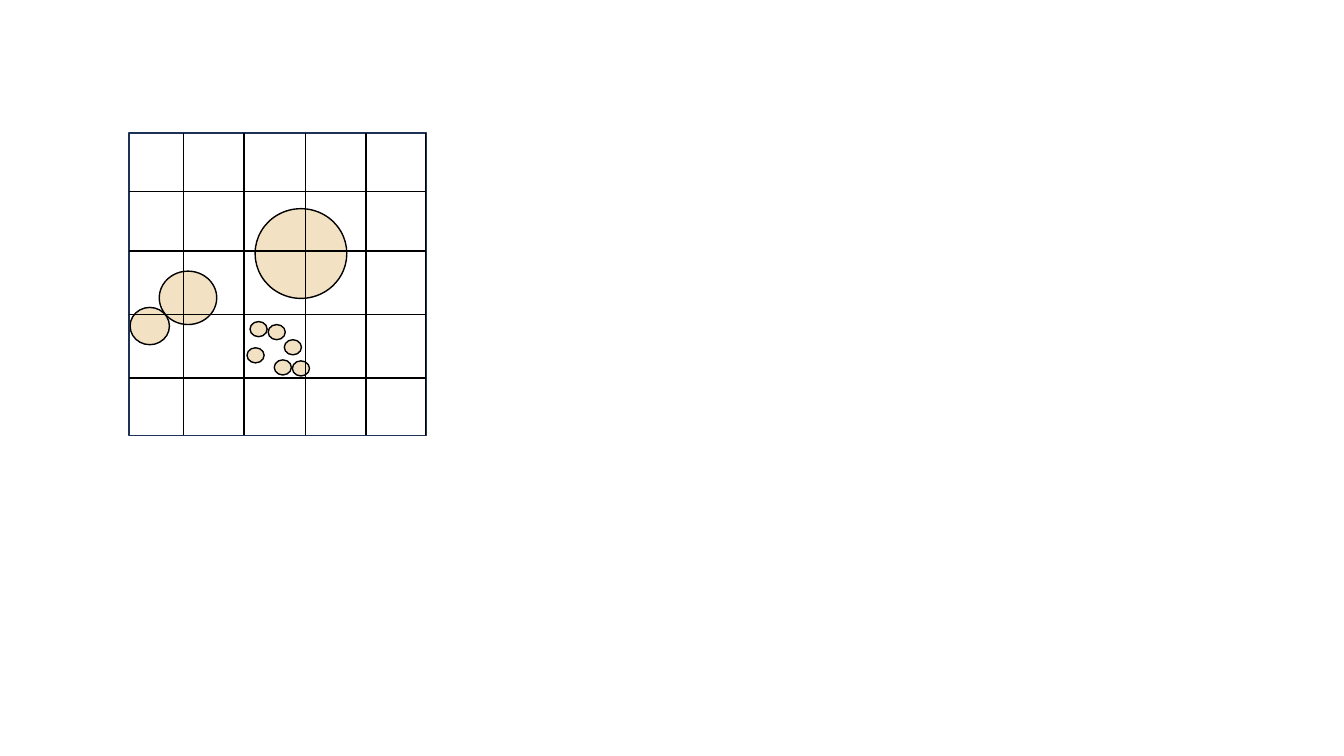
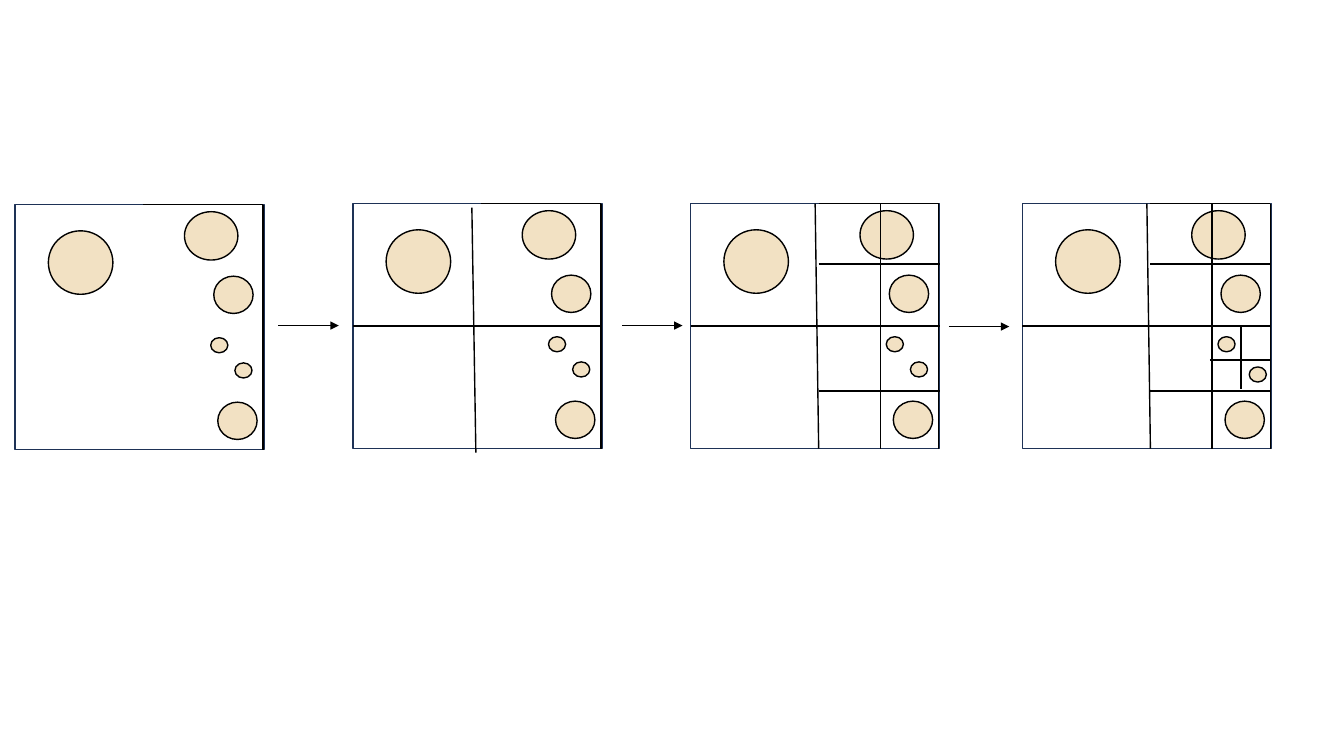
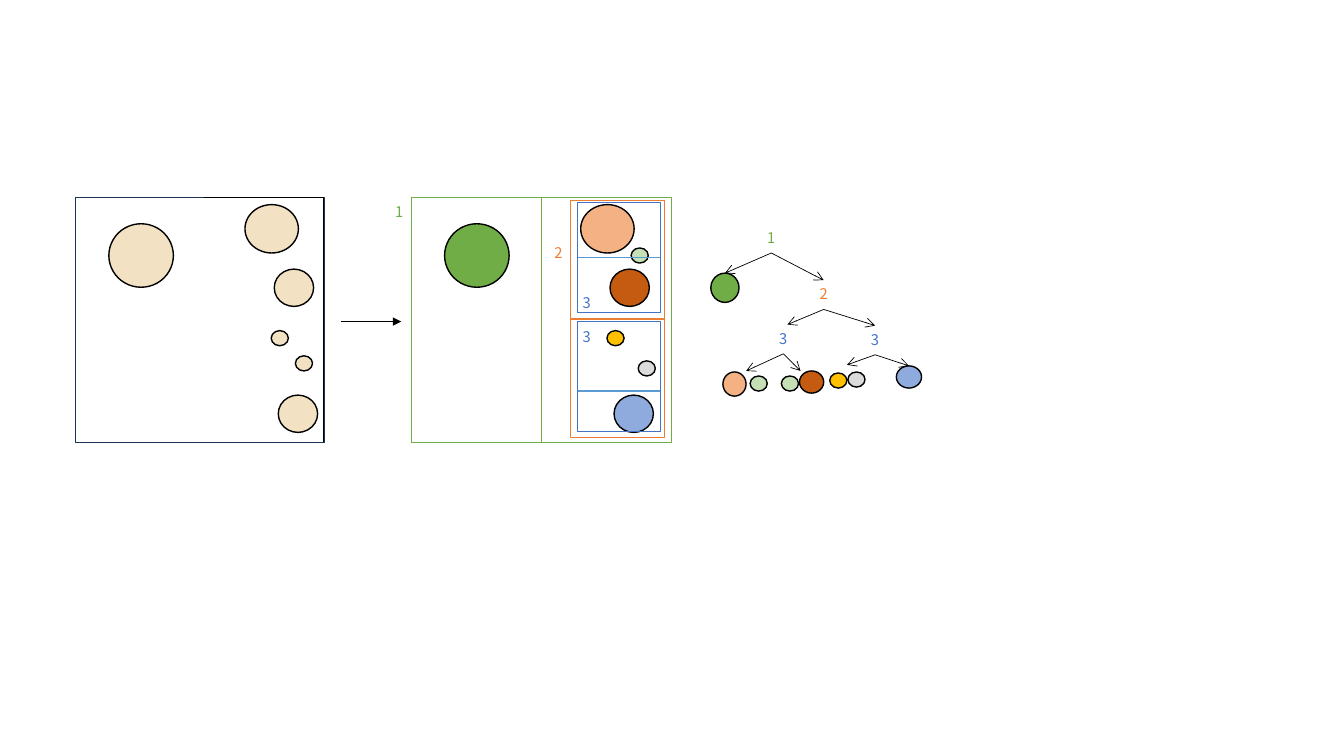
from dataclasses import dataclass

from lxml import etree
from pptx import Presentation
from pptx import util as u
from pptx.dml.color import RGBColor
from pptx.enum import shapes, text
from pptx.oxml.ns import qn


@dataclass(frozen=True)
class Theme:
    font: str = "Noto Sans CJK SC"
    size: float = 10.5
    line: float = 1
    thin: float = 0.5
    black: str = "000000"
    navy: str = "1E3256"
    sand: str = "F2E1C3"
    green: str = "70AD47"
    mint: str = "C5E0B4"
    orange: str = "ED7D31"
    peach: str = "F4B183"
    rust: str = "C55A11"
    blue: str = "4472C4"
    sky: str = "5B9BD5"
    pale_blue: str = "8FAADC"
    gold: str = "FFC000"
    grey: str = "DBDBDB"


T = Theme()
TOP, LEFT, BOTTOM, RIGHT = range(4)
DOT = (0.17, 0.15)
BALL = (0.39, 0.37)
PANEL_W, PANEL_H = 2.47, 2.43
BALLS = [
    (0.33, 0.26, 0.64, 0.63),
    (1.68, 0.07, 0.53, 0.48),
    (1.97, 0.71, *BALL),
    (1.94, 1.32, *DOT),
    (2.18, 1.57, *DOT),
    (2.01, 1.96, *BALL),
]
MOVED_DOT = (2.25, 1.62, *DOT)


class Deck:
    """Holds the theme, the presentation and the current slide."""

    def __init__(self, theme):
        self.theme = theme
        self.prs = Presentation()
        self.prs.slide_width, self.prs.slide_height = u.Inches(13.33), u.Inches(7.5)
        self.s = None

    def slide(self):
        self.s = self.prs.slides.add_slide(self.prs.slide_layouts[6])

    def shape(self, kind, box, fill, line):
        sp = self.s.shapes.add_shape(kind, *map(u.Inches, box))
        sp.shadow.inherit = False
        if fill:
            sp.fill.solid()
            sp.fill.fore_color.rgb = RGBColor.from_string(fill)
        else:
            sp.fill.background()
        sp.line.color.rgb = RGBColor.from_string(line)
        sp.line.width = u.Pt(self.theme.line)
        return sp

    def ball(self, x, y, w, h, fill=T.sand):
        return self.shape(shapes.MSO_SHAPE.OVAL, (x, y, w, h), fill, self.theme.black)

    def frame(self, x, y, w, h, line=T.navy):
        return self.shape(shapes.MSO_SHAPE.RECTANGLE, (x, y, w, h), None, line)

    def line(self, start, end, color=T.black, width=T.line, head=None):
        ends = (start, end)
        points = [(0, 0) if hasattr(e[0], "shape_id") else e for e in ends]
        c = self.s.shapes.add_connector(
            shapes.MSO_CONNECTOR.STRAIGHT, *(u.Inches(v) for p in points for v in p))
        for e, join in zip(ends, (c.begin_connect, c.end_connect)):
            if hasattr(e[0], "shape_id"):
                join(*e)
        c.line.color.rgb = RGBColor.from_string(color)
        c.line.width = u.Pt(width)
        sp_pr = c.element.spPr
        if head:
            etree.SubElement(sp_pr.find(qn("a:ln")), qn("a:tailEnd"), type=head)
        etree.SubElement(sp_pr, qn("a:effectLst"))
        return c

    def arrow(self, x, y):
        self.line((x, y), (x + 0.6, y), head="triangle")

    def branch(self, start, end):
        self.line(start, end, width=self.theme.thin, head="arrow")

    def label(self, x, y, words, color, wrap=False):
        sp = self.s.shapes.add_textbox(*map(u.Inches, (x, y, 0.28, 0.29)))
        tf = sp.text_frame
        for k, v in {"word_wrap": wrap,
                     "auto_size": text.MSO_AUTO_SIZE.SHAPE_TO_FIT_TEXT}.items():
            setattr(tf, k, v)
        r = tf.paragraphs[0].add_run()
        r.text = words
        for k, v in {"name": self.theme.font, "size": u.Pt(self.theme.size)}.items():
            setattr(r.font, k, v)
        r.font.color.rgb = RGBColor.from_string(color)
        return sp

    def balls(self, x, y, fills=(T.sand,) * 6, moved=False):
        places = [*BALLS[:4], MOVED_DOT if moved else BALLS[4], BALLS[5]]
        for (dx, dy, w, h), fill in zip(places, fills):
            self.ball(x + dx, y + dy, w, h, fill)

    def panel(self, x, y, moved=False):
        self.balls(x, y, moved=moved)
        sp = self.frame(x, y, PANEL_W, PANEL_H)
        right = x + PANEL_W - 0.01
        self.line((x + 1.27, y), (right, y))
        self.line((right, y), (right, y + PANEL_H))
        return sp

    def quarters(self, sp, x, y):
        right, bottom = x + PANEL_W, y + PANEL_H
        self.line((sp, LEFT), (sp, RIGHT))
        self.line((sp, TOP), (x + 1.27, bottom))
        self.line((x + 1.88, y), (x + 1.88, bottom))
        for dy in (0.6, 1.86):
            self.line((x + 1.27, y + dy), (right, y + dy))


def grid_slide(d):
    d.slide()
    x, y, w, h = 1.28, 1.32, 2.95, 3
    for ball in [(2.9, 3.58, *DOT), (1.29, 3.05, *BALL),
                 (1.58, 2.69, 0.57, 0.53), (2.53, 2.07, 0.91, 0.89)]:
        d.ball(*ball)
    d.frame(x, y, w, h)
    for row in (1.9, 2.49, 3.12, 3.75):
        d.line((x, row), (x + w, row))
    for col in (1.82, 2.42, 3.03, 3.63, 4.22):
        d.line((col, y), (col, y + h))
    for dot in [(2.48, 3.19), (2.66, 3.22), (2.45, 3.45), (2.82, 3.37), (2.72, 3.57)]:
        d.ball(*dot, *DOT)


def quadtree_slide(d):
    d.slide()
    y = 2.02
    d.panel(0.15, y + 0.01)

    x = 3.5
    sp = d.panel(x, y)
    d.line((sp, LEFT), (sp, RIGHT))
    d.line((x + 1.18, y + 0.04), (x + 1.22, y + 2.47))

    x = 6.85
    d.quarters(d.panel(x, y), x, y)

    x, y = 10.14, 2.02
    d.quarters(d.panel(x, y, moved=True), x, y)
    d.line((12.31, 3.23), (12.31, 3.86))
    d.line((12, 3.57), (12.6, 3.57))

    for arrow in [(2.76, 3.23), (6.17, 3.23), (9.41, 3.24)]:
        d.arrow(*arrow)


def tree_slide(d):
    d.slide()
    y = 1.96
    d.panel(0.75, y)
    d.arrow(3.38, 3.19)

    x = 4.08
    d.balls(x, y, (T.green, T.peach, T.rust, T.gold, T.grey, T.pale_blue), moved=True)
    d.ball(6.26, 2.46, *DOT, T.mint)
    outer = d.frame(x, y, 2.58, PANEL_H, T.green)
    d.line((outer, TOP), (outer, BOTTOM), T.green)
    half = d.frame(5.66, 1.99, 0.93, 2.35, T.orange)
    d.line((half, LEFT), (half, RIGHT), T.orange)
    upper = d.frame(5.73, 2.01, 0.82, 1.09, T.blue)
    d.line((upper, LEFT), (upper, RIGHT), T.sky)
    d.frame(5.73, 3.19, 0.82, 1.09, T.blue)
    d.line((5.73, 3.88), (6.55, 3.88), T.sky)
    for label in [(3.82, 1.96, "1", T.green), (5.4, 2.37, "2", T.orange),
                  (5.68, 2.87, "3", T.blue), (5.68, 3.2, "3", T.blue)]:
        d.label(*label)

    root = d.label(7.51, 2.22, "1", T.green, wrap=True)
    node = d.label(8.03, 2.78, "2", T.orange, wrap=True)
    low_left = d.label(7.63, 3.22, "3", T.blue, wrap=True)
    low_right = d.label(8.54, 3.23, "3", T.blue, wrap=True)
    green_leaf = d.ball(7.05, 2.71, 0.28, 0.29, T.green)
    blue_leaf = d.ball(8.89, 3.63, 0.25, 0.22, T.pale_blue)
    for leaf in [(7.17, 3.69, 0.23, 0.24, T.peach), (7.44, 3.73, *DOT, T.mint),
                 (7.75, 3.73, *DOT, T.mint), (7.93, 3.68, 0.24, 0.22, T.rust),
                 (8.23, 3.7, *DOT, T.gold), (8.41, 3.69, *DOT, T.grey)]:
        d.ball(*leaf)
    for parent, ends in [(root, [(green_leaf, TOP), (node, TOP)]),
                         (node, [(7.81, 3.22), (low_right, TOP)]),
                         (low_left, [(7.4, 3.68), (7.94, 3.68)]),
                         (low_right, [(8.4, 3.62), (blue_leaf, TOP)])]:
        for end in ends:
            d.branch((parent, BOTTOM), end)


def main():
    d = Deck(T)
    for build in (grid_slide, quadtree_slide, tree_slide):
        build(d)
    d.prs.save("out.pptx")


if __name__ == "__main__":
    main()
